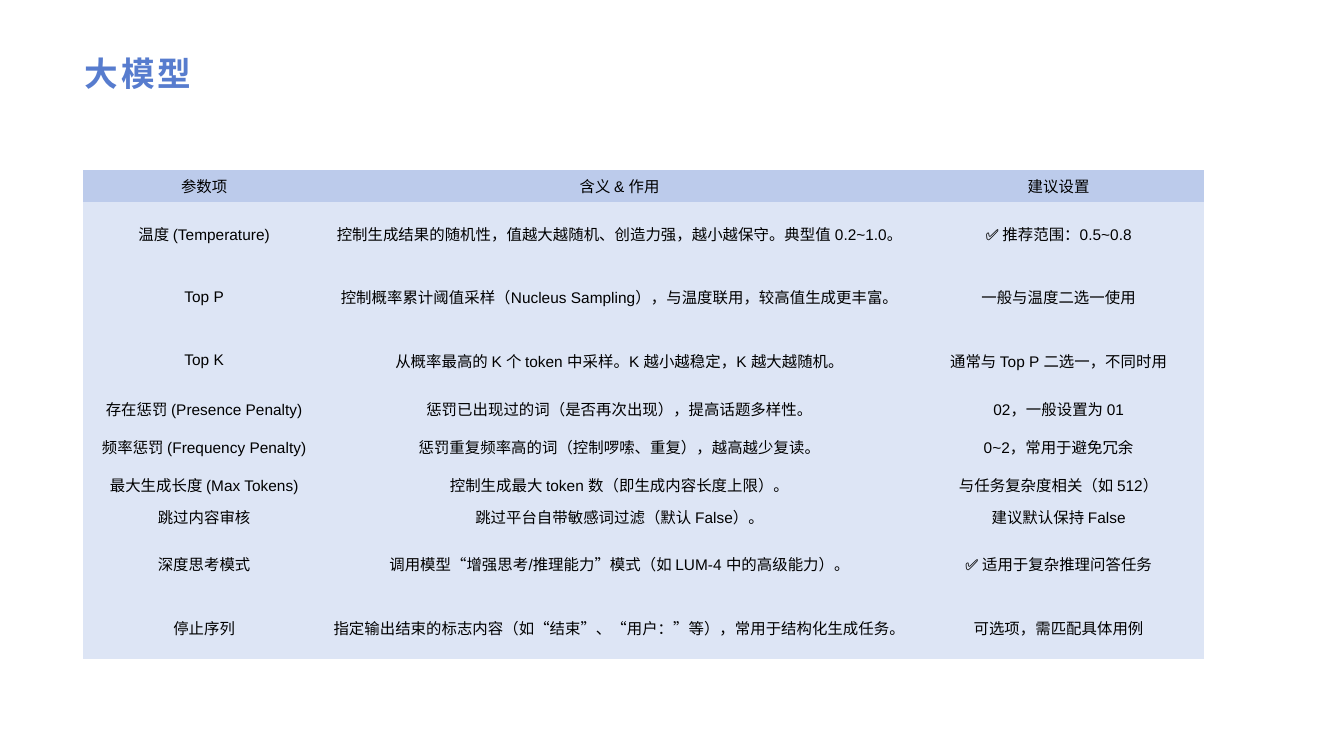
from pptx import Presentation
from pptx.dml.color import RGBColor as RGB
from pptx.enum.text import MSO_ANCHOR as ANCHOR, PP_ALIGN as ALIGN
from pptx.util import Inches, Pt

# Content
TITLE = "大模型"
HEADER = ("参数项", "含义 & 作用", "建议设置")
PARAMS = [
    ("温度 (Temperature)",
     "控制生成结果的随机性，值越大越随机、创造力强，越小越保守。典型值 0.2~1.0。",
     "✅ 推荐范围：0.5~0.8"),
    ("Top P",
     "控制概率累计阈值采样（Nucleus Sampling），与温度联用，较高值生成更丰富。",
     "一般与温度二选一使用"),
    ("Top K",
     "从概率最高的 K 个 token 中采样。K 越小越稳定，K 越大越随机。",
     "通常与 Top P 二选一，不同时用"),
    ("存在惩罚 (Presence Penalty)",
     "惩罚已出现过的词（是否再次出现），提高话题多样性。",
     "02，一般设置为 01"),
    ("频率惩罚 (Frequency Penalty)",
     "惩罚重复频率高的词（控制啰嗦、重复），越高越少复读。",
     "0~2，常用于避免冗余"),
    ("最大生成长度 (Max Tokens)",
     "控制生成最大 token 数（即生成内容长度上限）。",
     "与任务复杂度相关（如 512）"),
    ("跳过内容审核",
     "跳过平台自带敏感词过滤（默认 False）。",
     "建议默认保持 False"),
    ("深度思考模式",
     "调用模型“增强思考/推理能力”模式（如 LUM-4 中的高级能力）。",
     "✅ 适用于复杂推理问答任务"),
    ("停止序列",
     "指定输出结束的标志内容（如“结束”、“用户：”等），常用于结构化生成任务。",
     "可选项，需匹配具体用例"),
]

# Layout and theme
TITLE_BOX = (0.73, 0.48, 11.87, 0.48)
TITLE_INSETS = (0.11, 0.04, 0.08, 0.04)
TABLE_LEFT, TABLE_TOP = 0.82, 1.69
COL_WIDTHS = (2.41, 5.83, 2.88)
ROW_HEIGHTS = (0.31, 0.63, 0.63, 0.63, 0.32, 0.44, 0.32, 0.31, 0.63, 0.63)
THEME = {
    "font": "Arial", "title_size": 24, "cell_size": 11,
    "title": "577CCE", "text": "000000", "header": "BCCBEB", "body": "DDE5F5",
    "plain_table": "{2D5ABB26-0587-4C30-8999-92F81FD0307C}",
}


def write(tf, text, size, color, bold=False, align=ALIGN.LEFT, spacing=0):
    p = tf.paragraphs[0]
    p.alignment = align
    r = p.add_run()
    r.text = text
    r.font.name = THEME["font"]
    r.font.size = Pt(size)
    r.font.bold = bold
    r.font.color.rgb = RGB.from_string(color)
    if spacing:
        r.font._element.set("spc", str(spacing * 100))


def set_insets(box, left, top, right, bottom):
    box.margin_left, box.margin_top = Inches(left), Inches(top)
    box.margin_right, box.margin_bottom = Inches(right), Inches(bottom)
    box.vertical_anchor = ANCHOR.MIDDLE


prs = Presentation()
prs.slide_width, prs.slide_height = Inches(13.33), Inches(7.5)
s = prs.slides.add_slide(prs.slide_layouts[6])

# Title
tf = s.shapes.add_textbox(*map(Inches, TITLE_BOX)).text_frame
tf.word_wrap = True
set_insets(tf, *TITLE_INSETS)
write(tf, TITLE, THEME["title_size"], THEME["title"], bold=True, spacing=2)

# Parameter table
rows = [HEADER] + PARAMS
table = s.shapes.add_table(
    len(rows), len(HEADER), Inches(TABLE_LEFT), Inches(TABLE_TOP),
    Inches(sum(COL_WIDTHS)), Inches(sum(ROW_HEIGHTS))).table
table.first_row = table.horz_banding = False
table._tbl.tblPr[0].text = THEME["plain_table"]
for col, width in zip(table.columns, COL_WIDTHS):
    col.width = Inches(width)
for i, (row, height, texts) in enumerate(zip(table.rows, ROW_HEIGHTS, rows)):
    row.height = Inches(height)
    for cell, text in zip(row.cells, texts):
        cell.fill.solid()
        cell.fill.fore_color.rgb = RGB.from_string(THEME["body" if i else "header"])
        set_insets(cell, 0, 0, 0, 0)
        write(cell.text_frame, text, THEME["cell_size"], THEME["text"],
              align=ALIGN.CENTER)

prs.save("out.pptx")
